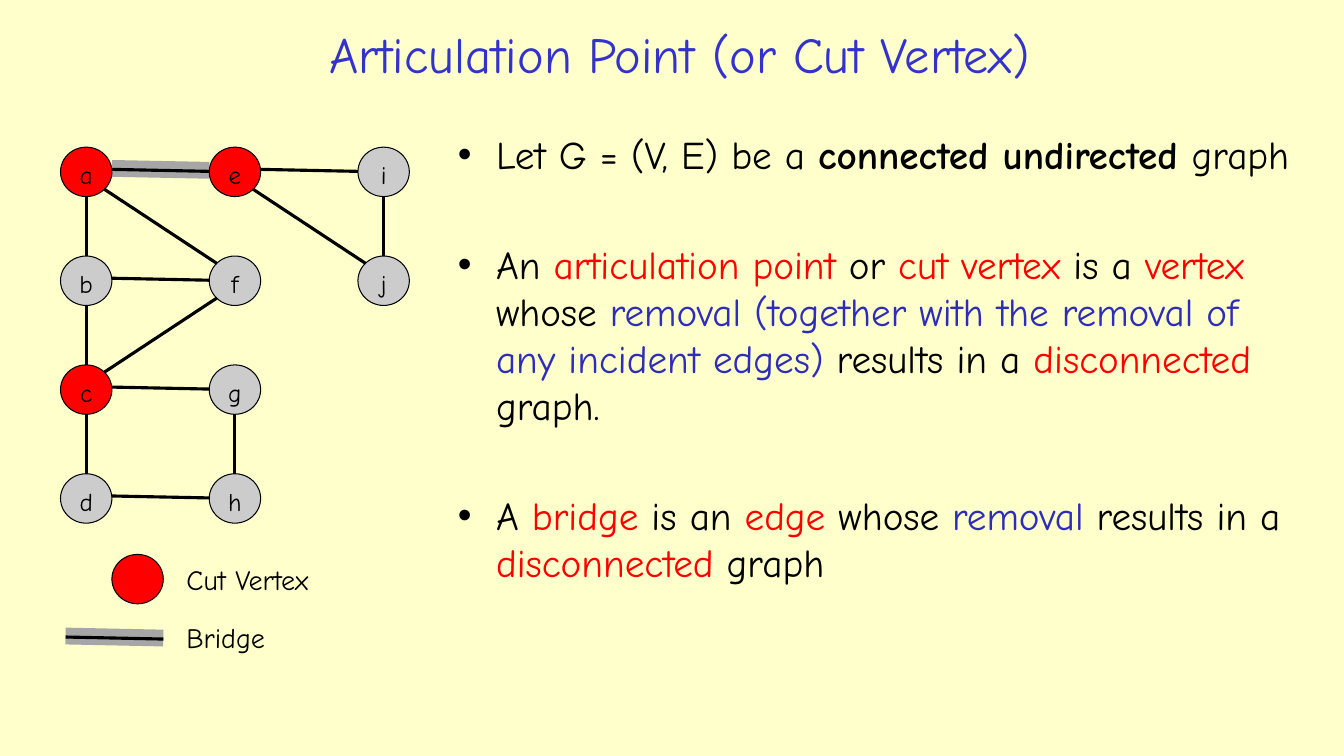
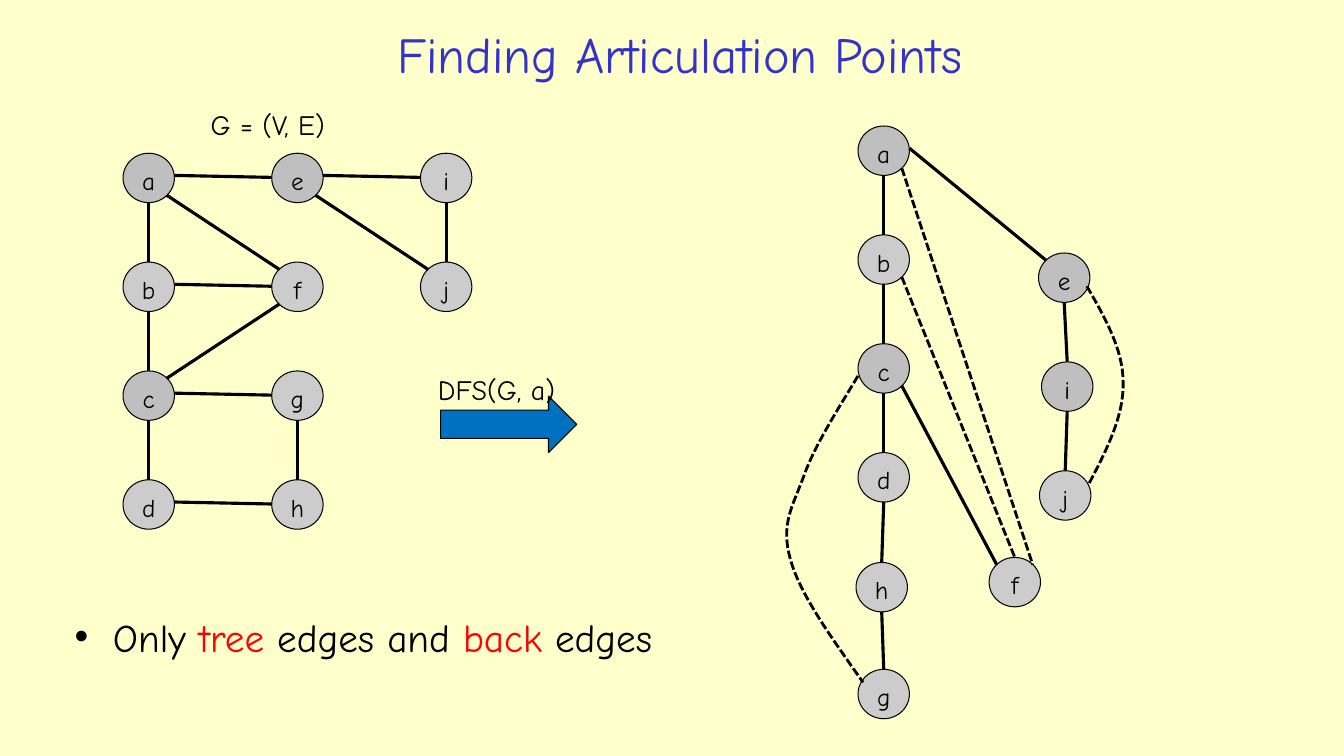
"""Build two slides on articulation points and depth-first search."""
from dataclasses import dataclass

from lxml import etree
from pptx import Presentation
from pptx import util as u
from pptx.dml.color import RGBColor
from pptx.enum import dml, shapes, text
from pptx.oxml.ns import qn

FONT = "Comic Neue"
PAPER = RGBColor(0xFF, 0xFF, 0xCC)
INK = RGBColor(0, 0, 0)
TITLE_BLUE = RGBColor(0x33, 0x33, 0xCC)
TEXT_BLUE = RGBColor(0x2D, 0x2D, 0xB9)
RED = RGBColor(0xFF, 0, 0)
ARROW_BLUE = RGBColor(0, 0x70, 0xC0)
LIGHT = RGBColor(0xCC, 0xCC, 0xCC)
DARK = RGBColor(0xBF, 0xBF, 0xBF)
BAND = RGBColor(0xA6, 0xA6, 0xA6)

NODE_W, NODE_H = 0.51, 0.49
COLUMN_STEP, ROW_STEP = 1.475, 1.08
SIDES = {"N": (0, -1), "S": (0, 1), "E": (1, -0.1), "W": (-1, -0.02),
         "NE": (0.7, -0.7), "SE": (0.7, 0.7), "SW": (-0.7, 0.7), "NW": (-0.7, -0.7)}

Point = tuple[float, float]


@dataclass(frozen=True)
class Node:
    """A vertex with its top left corner in inches."""
    name: str
    left: float
    top: float
    fill: RGBColor = LIGHT

    def side(self, compass: str) -> Point:
        """Return the point on the outline in a compass direction."""
        across, down = SIDES[compass]
        return (self.left + NODE_W / 2 * (1 + across), self.top + NODE_H / 2 * (1 + down))


@dataclass(frozen=True)
class Edge:
    """A straight edge between sides of two named vertices."""
    start: str
    start_side: str
    end: str
    end_side: str
    back: bool = False
    bridge: bool = False


@dataclass(frozen=True)
class Span:
    """A piece of text with its own colour and weight."""
    words: str
    color: RGBColor = INK
    bold: bool = False


GRID = {"a": (0, 0), "e": (1, 0), "i": (2, 0), "b": (0, 1), "f": (1, 1), "j": (2, 1),
        "c": (0, 2), "g": (1, 2), "d": (0, 3), "h": (1, 3)}
CUT_VERTICES = "aec"
GRID_EDGES = [
    Edge("a", "E", "e", "W", bridge=True),
    *(Edge(one, "E", two, "W") for one, two in ("ei", "bf", "cg", "dh")),
    *(Edge(one, "S", two, "N") for one, two in ("ab", "bc", "cd", "gh", "ij")),
    Edge("a", "SE", "f", "NW"),
    Edge("e", "SE", "j", "NW"),
    Edge("f", "SW", "c", "NE"),
]

TREE_NODES = [
    *(Node(name, 8.51, 1.25 + row * ROW_STEP, DARK if name in "ac" else LIGHT)
      for row, name in enumerate("abcd")),
    Node("h", 8.49, 5.58),
    Node("g", 8.51, 6.64),
    Node("f", 9.81, 5.53),
    Node("e", 10.3, 2.51, DARK),
    Node("i", 10.33, 3.59, DARK),
    Node("j", 10.31, 4.67),
]
TREE_EDGES = [
    *(Edge(one, "S", two, "N") for one, two in ("ab", "bc", "cd", "dh", "hg", "ei", "ij")),
    Edge("c", "SE", "f", "NW"),
    Edge("a", "E", "e", "NW"),
    Edge("b", "SE", "f", "N", back=True),
    Edge("a", "SE", "f", "NE", back=True),
]
BACK_CURVES = [
    [(8.51, 3.73), (8.3, 4.08), (8.08, 4.42), (7.97, 4.73), (7.86, 5.03), (7.74, 5.2),
     (7.84, 5.55), (7.93, 5.89), (8.25, 6.33), (8.56, 6.77)],
    [(10.78, 2.84), (10.96, 3.15), (11.14, 3.47), (11.14, 3.79), (11.15, 4.12),
     (10.98, 4.46), (10.8, 4.8)],
]

DEFINITIONS = [
    [Span("Let G = (V, E) be a "), Span("connected undirected ", bold=True), Span("graph")],
    [Span("An"), Span(" articulation point ", RED), Span("or"), Span(" cut vertex", RED),
     Span(" is a "), Span("vertex", RED), Span(" whose "),
     Span("removal (together with the removal of any incident edges) ", TEXT_BLUE),
     Span("results in a "), Span("disconnected", RED), Span(" graph.")],
    [Span("A "), Span("bridge", RED), Span(" is an "), Span("edge", RED), Span(" whose "),
     Span("removal", TEXT_BLUE), Span(" results in a "), Span("disconnected", RED),
     Span(" graph")],
]
EDGE_KINDS = [[Span("Only "), Span("tree", RED), Span(" edges and "), Span("back", RED),
               Span(" edges")]]


def place(box, left: float, top: float, width: float, height: float) -> None:
    """Move and size a shape in inches."""
    box.left, box.top = u.Inches(left), u.Inches(top)
    box.width, box.height = u.Inches(width), u.Inches(height)


def write(para, words: str, *, size: int = 20, color: RGBColor = INK,
          bold: bool = False, align=None) -> None:
    """Append a formatted run to a paragraph."""
    span = para.add_run()
    span.text = words
    span.font.name, span.font.size = FONT, u.Pt(size)
    span.font.bold = bold
    span.font.color.rgb = color
    if align is not None:
        para.alignment = align


def style_line(line, color: RGBColor = INK, width: float = 0.75, dashed: bool = False) -> None:
    """Set the colour, width and dash of an outline."""
    line.color.rgb = color
    line.width = u.Pt(width)
    if dashed:
        line.dash_style = dml.MSO_LINE.SQUARE_DOT


def draw_line(page, start: Point, end: Point, *, color: RGBColor = INK,
              width: float = 2.25, dashed: bool = False) -> None:
    """Draw a straight line without a shadow."""
    line = page.shapes.add_connector(shapes.MSO_CONNECTOR.STRAIGHT,
                                     *(u.Inches(value) for value in (*start, *end)))
    style_line(line.line, color, width, dashed)
    etree.SubElement(line._element.spPr, qn("a:effectLst"))


def draw_band(page, start: Point, end: Point) -> None:
    """Draw the thick grey band behind a bridge."""
    draw_line(page, (start[0], start[1] - 0.01), (end[0], end[1] - 0.01), color=BAND, width=12)


def draw_shape(page, kind, left: float, top: float, width: float, height: float,
               fill: RGBColor):
    """Draw a filled preset shape with a thin outline."""
    box = page.shapes.add_shape(kind, *(u.Inches(v) for v in (left, top, width, height)))
    box.shadow.inherit = False
    box.fill.solid()
    box.fill.fore_color.rgb = fill
    style_line(box.line)
    return box


def draw_node(page, node: Node) -> None:
    """Draw a vertex and its letter."""
    box = draw_shape(page, shapes.MSO_SHAPE.OVAL, node.left, node.top, NODE_W, NODE_H, node.fill)
    if node.name:
        box.text_frame.word_wrap = False
        box.text_frame.vertical_anchor = text.MSO_ANCHOR.TOP
        write(box.text_frame.paragraphs[0], node.name, size=18, align=text.PP_ALIGN.CENTER)


def draw_graph(page, nodes: list[Node], edges: list[Edge], show_bridges: bool = False) -> None:
    """Draw vertices, edges and, if wanted, the bridge bands."""
    by_name = {node.name: node for node in nodes}
    ends = [(edge, by_name[edge.start].side(edge.start_side),
             by_name[edge.end].side(edge.end_side)) for edge in edges]
    for edge, start, end in ends:
        if show_bridges and edge.bridge:
            draw_band(page, start, end)
    for node in nodes:
        draw_node(page, node)
    for edge, start, end in ends:
        draw_line(page, start, end, width=2 if edge.back else 2.25, dashed=edge.back)


def grid_nodes(left: float, top: float, accent: RGBColor) -> list[Node]:
    """Lay the example graph out on its grid."""
    return [Node(name, left + column * COLUMN_STEP, top + row * ROW_STEP,
                 accent if name in CUT_VERTICES else LIGHT)
            for name, (column, row) in GRID.items()]


def draw_curve(page, points: list[Point], steps: int = 16) -> None:
    """Draw a dashed chain of cubic curves."""
    track = []
    for first in range(0, len(points) - 1, 3):
        controls = points[first:first + 4]
        for step in range(1, steps + 1):
            t = step / steps
            weights = ((1 - t) ** 3, 3 * t * (1 - t) ** 2, 3 * t * t * (1 - t), t ** 3)
            track.append(tuple(u.Inches(sum(weight * point[axis] for weight, point
                                            in zip(weights, controls))) for axis in (0, 1)))
    builder = page.shapes.build_freeform(*(u.Inches(value) for value in points[0]))
    builder.add_line_segments(track, close=False)
    curve = builder.convert_to_shape()
    curve.shadow.inherit = False
    curve.fill.background()
    style_line(curve.line, width=2, dashed=True)


def add_label(page, words: str, left: float, top: float, width: float = 1.72,
              wrap: bool = True, align=None) -> None:
    """Add a one-line label."""
    box = page.shapes.add_textbox(*(u.Inches(v) for v in (left, top, width, 0.44)))
    box.text_frame.word_wrap = wrap
    box.text_frame.auto_size = text.MSO_AUTO_SIZE.SHAPE_TO_FIT_TEXT
    write(box.text_frame.paragraphs[0], words, align=align)


def fill_list(box, items: list[list[Span]]) -> None:
    """Fill a body placeholder with bulleted paragraphs."""
    frame = box.text_frame
    frame.auto_size = text.MSO_AUTO_SIZE.NONE
    for index, item in enumerate(items):
        para = frame.add_paragraph() if index else frame.paragraphs[0]
        properties = para._p.get_or_add_pPr()
        properties.set("marL", str(u.Inches(0.38)))
        properties.set("indent", str(u.Inches(-0.38)))
        etree.SubElement(properties, qn("a:buChar")).set("char", "•")
        para.space_before = u.Pt(45 if index else 0)
        for span in item:
            write(para, span.words, size=28, color=span.color, bold=span.bold)


def add_page(deck, title: str, items: list[list[Span]], area: tuple[float, ...]):
    """Add a slide with its title and bulleted list."""
    page = deck.slides.add_slide(deck.slide_layouts[1])
    heading, body = page.placeholders
    place(heading, 1.97, 0.15, 9.54, 0.76)
    heading.text_frame.vertical_anchor = text.MSO_ANCHOR.MIDDLE
    write(heading.text_frame.paragraphs[0], title, size=36, color=TITLE_BLUE,
          align=text.PP_ALIGN.CENTER)
    place(body, *area)
    fill_list(body, items)
    return page


def add_definition_page(deck) -> None:
    """Add the slide that defines cut vertices and bridges."""
    page = add_page(deck, "Articulation Point (or Cut Vertex)", DEFINITIONS,
                    (4.44, 1.24, 8.49, 5.92))
    draw_graph(page, grid_nodes(0.6, 1.46, RED), GRID_EDGES, show_bridges=True)
    draw_node(page, Node("", 1.11, 5.5, RED))
    add_label(page, "Cut Vertex", 1.75, 5.53)
    sample = (0.65, 6.32), (1.62, 6.34)
    draw_band(page, *sample)
    draw_line(page, *sample)
    add_label(page, "Bridge", 1.75, 6.11)


def add_search_page(deck) -> None:
    """Add the slide that turns the graph into a search tree."""
    page = add_page(deck, "Finding Articulation Points", EDGE_KINDS, (0.64, 6.03, 6.71, 0.74))
    draw_graph(page, TREE_NODES, TREE_EDGES)
    draw_graph(page, grid_nodes(1.22, 1.52, DARK), GRID_EDGES)
    add_label(page, "G = (V, E)", 1.99, 1.02)
    draw_shape(page, shapes.MSO_SHAPE.RIGHT_ARROW, 4.37, 3.93, 1.35, 0.56, ARROW_BLUE)
    add_label(page, "DFS(G, a)", 4.19, 3.65, 1.47, wrap=False, align=text.PP_ALIGN.CENTER)
    for points in BACK_CURVES:
        draw_curve(page, points)


def main() -> None:
    """Build and save the deck."""
    deck = Presentation()
    deck.slide_width, deck.slide_height = u.Inches(13.33), u.Inches(7.5)
    backdrop = deck.slide_master.background.fill
    backdrop.solid()
    backdrop.fore_color.rgb = PAPER
    add_definition_page(deck)
    add_search_page(deck)
    deck.save("out.pptx")


if __name__ == "__main__":
    main()
